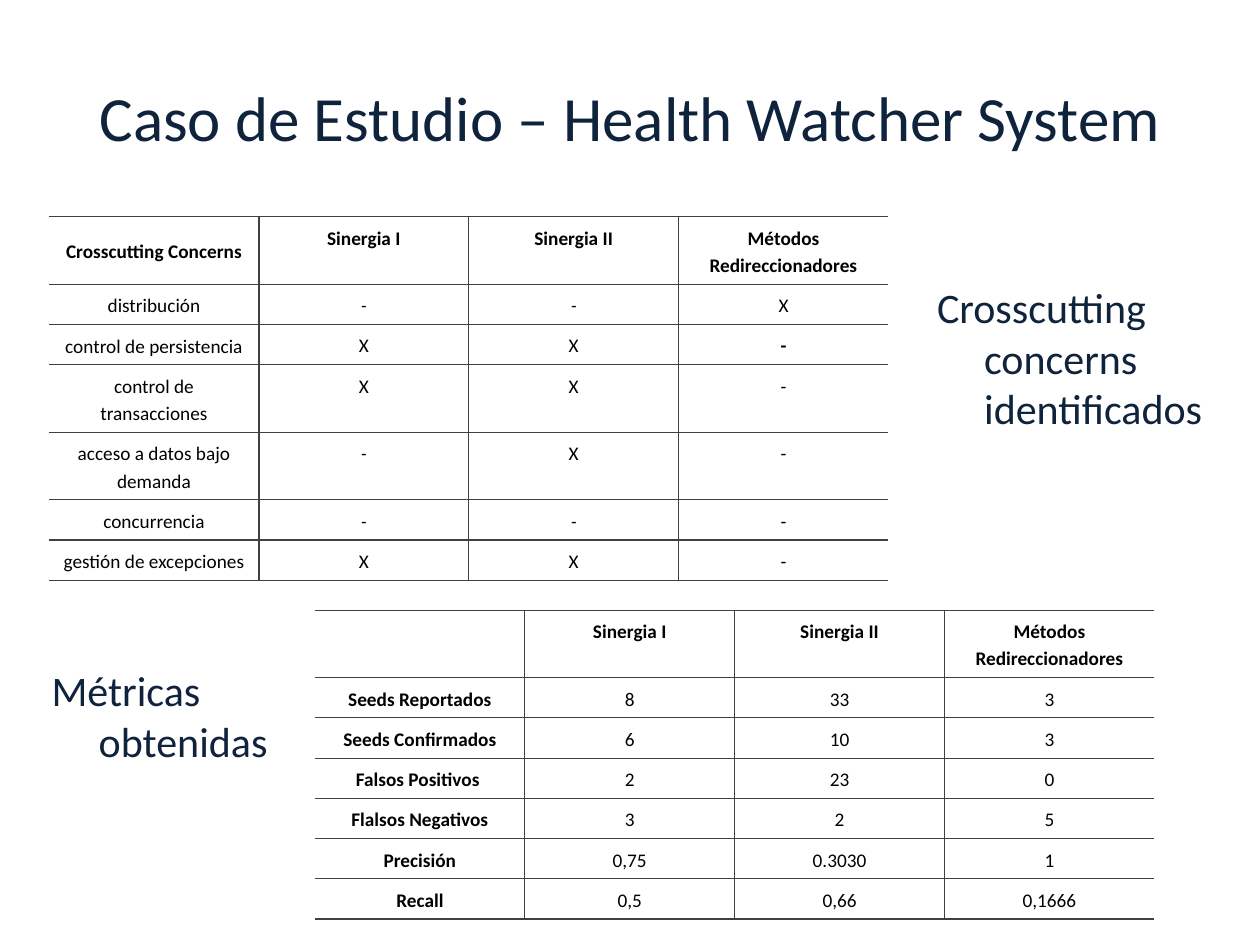
from dataclasses import dataclass

from lxml.etree import SubElement
from pptx import Presentation
from pptx.dml.color import RGBColor
from pptx.enum.text import MSO_ANCHOR, PP_ALIGN
from pptx.oxml.ns import qn
from pptx.util import Cm, Pt


@dataclass(frozen=True)
class Theme:
    font: str = "Calibri"
    heading: RGBColor = RGBColor(0x0F, 0x23, 0x3C)
    cell_text: RGBColor = RGBColor(0, 0, 0)
    border: str = "404040"
    title_size: int = 36
    caption_size: int = 24
    cell_size: int = 11
    border_width: float = 0.75


@dataclass(frozen=True)
class TableSpec:
    left: float
    top: float
    rows: list[tuple[str, ...]]
    tall_rows: set[int]
    bold_first_column: bool = False
    bold_cells: frozenset = frozenset()
    italic_cells: frozenset = frozenset()


@dataclass(frozen=True)
class Caption:
    text: str
    left: float
    top: float
    width: float
    height: float


THEME = Theme()
COLUMN_WIDTH, ROW_HEIGHT, TALL_ROW_HEIGHT = 4.23, 0.79, 1.33
METHODS = ("Sinergia I", "Sinergia II", "Métodos Redireccionadores")

CONCERNS = TableSpec(
    left=0.99, top=4.37, tall_rows={0, 3, 4},
    rows=[
        ("Crosscutting Concerns", *METHODS),
        ("distribución", "-", "-", "X"),
        ("control de persistencia", "X", "X", "-"),
        ("control de transacciones", "X", "X", "-"),
        ("acceso a datos bajo demanda", "-", "X", "-"),
        ("concurrencia", "-", "-", "-"),
        ("gestión de excepciones", "X", "X", "-"),
    ],
    bold_cells=frozenset({(2, 3)}),
    italic_cells=frozenset({(1, 1), (1, 2), (4, 1), (5, 1), (5, 2)}),
)

METRICS = TableSpec(
    left=6.35, top=12.3, tall_rows={0}, bold_first_column=True,
    rows=[
        ("", *METHODS),
        ("Seeds Reportados", "8", "33", "3"),
        ("Seeds Confirmados", "6", "10", "3"),
        ("Falsos Positivos ", "2", "23", "0"),
        ("Flalsos Negativos", "3", "2", "5"),
        ("Precisión", "0,75", "0.3030", "1"),
        ("Recall", "0,5", "0,66", "0,1666"),
    ],
)

CAPTIONS = [
    Caption("Métricas obtenidas", 0.79, 13.28, 5.36, 2.39),
    Caption("Crosscutting concerns identificados", 18.64, 5.56, 6.76, 3.96),
]


def format_runs(paragraph, size: int, color: RGBColor,
                bold: bool = False, italic: bool = False) -> None:
    for run in paragraph.runs:
        run.font.name = THEME.font
        run.font.size = Pt(size)
        run.font.color.rgb = color
        run.font.bold = bold
        run.font.italic = italic


def set_borders(cell, visible: dict[str, bool]) -> None:
    properties = cell._tc.get_or_add_tcPr()
    for side in ("L", "R", "T", "B"):
        line = SubElement(properties, qn(f"a:ln{side}"), w=str(Pt(THEME.border_width)))
        if visible.get(side, True):
            fill = SubElement(line, qn("a:solidFill"))
            SubElement(fill, qn("a:srgbClr"), val=THEME.border)
        else:
            SubElement(line, qn("a:noFill"))


def add_data_table(slide, spec: TableSpec) -> None:
    heights = [TALL_ROW_HEIGHT if index in spec.tall_rows else ROW_HEIGHT
               for index in range(len(spec.rows))]
    column_count = len(spec.rows[0])
    table = slide.shapes.add_table(
        len(spec.rows), column_count, Cm(spec.left), Cm(spec.top),
        Cm(column_count * COLUMN_WIDTH), Cm(sum(heights))).table
    table.first_row = table.horz_banding = False
    for column in table.columns:
        column.width = Cm(COLUMN_WIDTH)
    for row_index, values in enumerate(spec.rows):
        table.rows[row_index].height = Cm(heights[row_index])
        for column_index, value in enumerate(values):
            cell = table.cell(row_index, column_index)
            # The outer left and right edges stay open
            set_borders(cell, {"L": column_index > 0, "R": column_index < column_count - 1})
            cell.fill.background()
            cell.margin_left = cell.margin_right = Cm(0.2)
            cell.margin_top = cell.margin_bottom = Cm(0.13)
            cell.vertical_anchor = MSO_ANCHOR.TOP if column_index else MSO_ANCHOR.MIDDLE
            cell.text_frame.text = value
            paragraph = cell.text_frame.paragraphs[0]
            paragraph.alignment = PP_ALIGN.CENTER
            paragraph.line_spacing = 1.15
            position = (row_index, column_index)
            bold = (row_index == 0 or position in spec.bold_cells
                    or (spec.bold_first_column and column_index == 0))
            format_runs(paragraph, THEME.cell_size, THEME.cell_text,
                        bold, position in spec.italic_cells)


def add_caption(slide, caption: Caption) -> None:
    shape = slide.shapes.add_textbox(Cm(caption.left), Cm(caption.top),
                                     Cm(caption.width), Cm(caption.height))
    shape.text_frame.word_wrap = True
    shape.text_frame.text = caption.text
    paragraph = shape.text_frame.paragraphs[0]
    paragraph.space_before = Pt(6)
    # Hanging indent
    properties = paragraph._p.get_or_add_pPr()
    properties.set("marL", str(Cm(0.95)))
    properties.set("indent", str(-Cm(0.95)))
    format_runs(paragraph, THEME.caption_size, THEME.heading)


def set_title(slide, text: str) -> None:
    title = slide.shapes.title
    title.left, title.top = Cm(0), Cm(0.76)
    title.width, title.height = Cm(25.4), Cm(3.18)
    title.text_frame.text = text
    title.text_frame.vertical_anchor = MSO_ANCHOR.MIDDLE
    paragraph = title.text_frame.paragraphs[0]
    paragraph.alignment = PP_ALIGN.CENTER
    format_runs(paragraph, THEME.title_size, THEME.heading)


def main() -> None:
    presentation = Presentation()
    presentation.slide_width, presentation.slide_height = Cm(25.4), Cm(19.05)
    slide = presentation.slides.add_slide(presentation.slide_layouts[5])

    # Heading
    set_title(slide, "Caso de Estudio – Health Watcher System")

    # Results
    for spec in (CONCERNS, METRICS):
        add_data_table(slide, spec)

    # Captions beside the tables
    for caption in CAPTIONS:
        add_caption(slide, caption)

    presentation.save("out.pptx")


if __name__ == "__main__":
    main()
